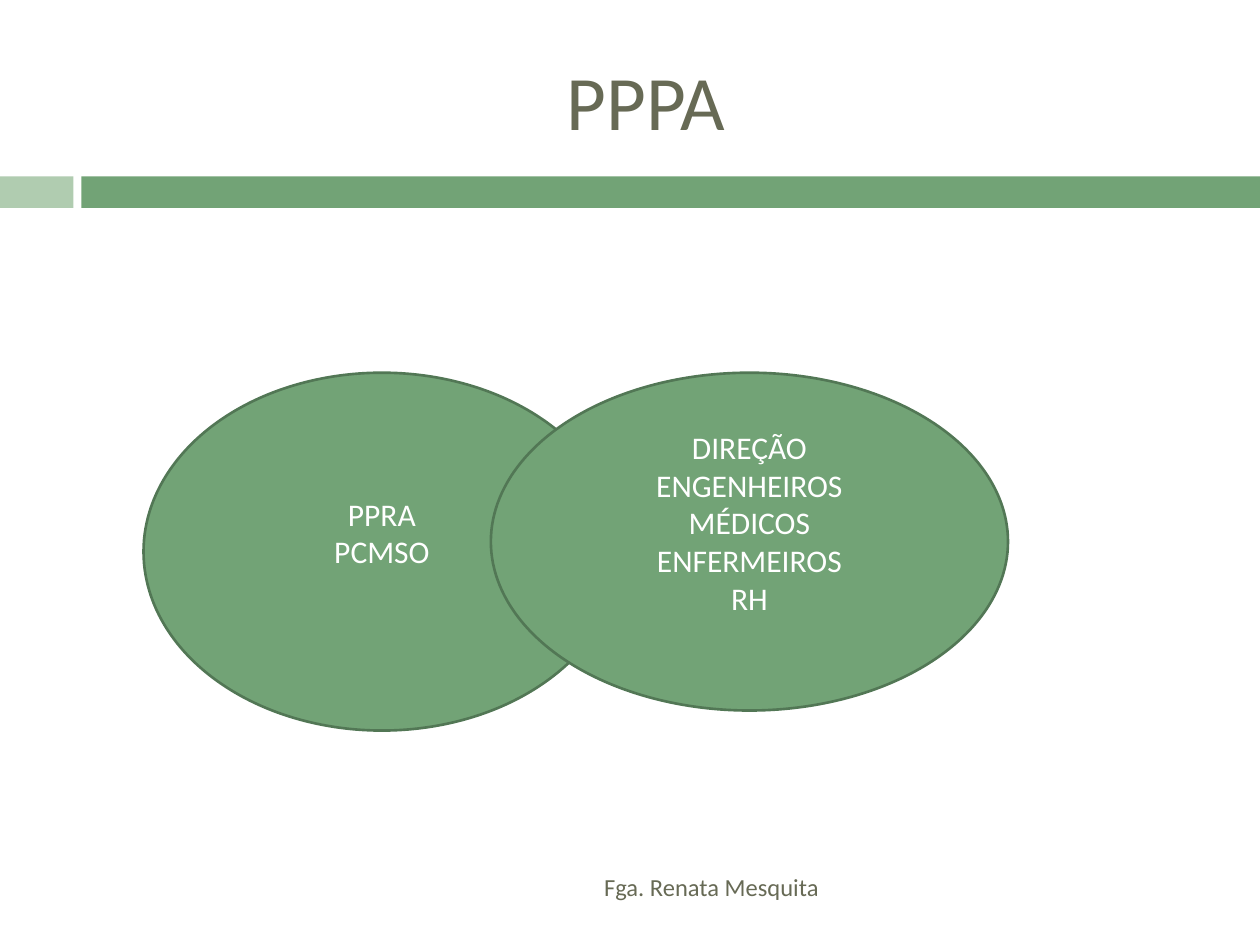
from pptx import Presentation
from pptx.dml.color import RGBColor
from pptx.enum.shapes import MSO_SHAPE
from pptx.enum.text import MSO_ANCHOR, PP_ALIGN
from pptx.util import Pt

RECT, OVAL = MSO_SHAPE.RECTANGLE, MSO_SHAPE.OVAL
MIDDLE = MSO_ANCHOR.MIDDLE
CENTER, RIGHT = PP_ALIGN.CENTER, PP_ALIGN.RIGHT

FONT = "Calibri"
GREEN, PALE_GREEN, DARK_GREEN = "72A376", "B0CCB0", "527755"
OLIVE, WHITE = "676A55", "FFFFFF"


def rgb(color):
    return RGBColor.from_string(color)


def write(shape, lines, size, color, align):
    tf = shape.text_frame
    tf.word_wrap = True
    tf.vertical_anchor = MIDDLE
    tf.text = "\n".join(lines)
    for p in tf.paragraphs:
        p.alignment = align
        p.font.name = FONT
        p.font.size = Pt(size)
        p.font.color.rgb = rgb(color)
    return tf


def add_filled(s, kind, box, fill, line=None):
    sp = s.shapes.add_shape(kind, *map(Pt, box))
    sp.shadow.inherit = False
    sp.fill.solid()
    sp.fill.fore_color.rgb = rgb(fill)
    if line:
        sp.line.color.rgb = rgb(line)
        sp.line.width = Pt(1.5)
    else:
        sp.line.fill.background()
    return sp


def add_oval(s, box, lines):
    sp = add_filled(s, OVAL, box, GREEN, DARK_GREEN)
    tf = write(sp, lines, 18, WHITE, CENTER)
    # Lift the text half a line above the middle
    tf.margin_top, tf.margin_bottom = Pt(0), Pt(22)


def add_title(s, box, text):
    title = s.shapes.title
    title.left, title.top, title.width, title.height = map(Pt, box)
    write(title, [text], 44, OLIVE, CENTER)


def add_footer(s, box, text):
    write(s.shapes.add_textbox(*map(Pt, box)), [text], 14, OLIVE, RIGHT)


def main():
    prs = Presentation()
    prs.slide_width, prs.slide_height = Pt(720), Pt(540)
    s = prs.slides.add_slide(prs.slide_layouts[5])

    # Band under the title
    add_filled(s, RECT, (0, 100.8, 42, 18), PALE_GREEN)
    add_filled(s, RECT, (46.5, 100.8, 673.5, 18), GREEN)

    add_title(s, (48, 18, 642, 78), "PPPA")

    # Overlapping ovals: programmes and the people involved
    add_oval(s, (82, 213, 272.5, 204.5), ["PPRA", "PCMSO"])
    add_oval(s, (280.5, 213, 295.5, 193),
             ["DIREÇÃO", "ENGENHEIROS", "MÉDICOS", "ENFERMEIROS", "RH"])

    add_footer(s, (48, 492, 427, 29), "Fga. Renata Mesquita")

    prs.save("out.pptx")


if __name__ == "__main__":
    main()
